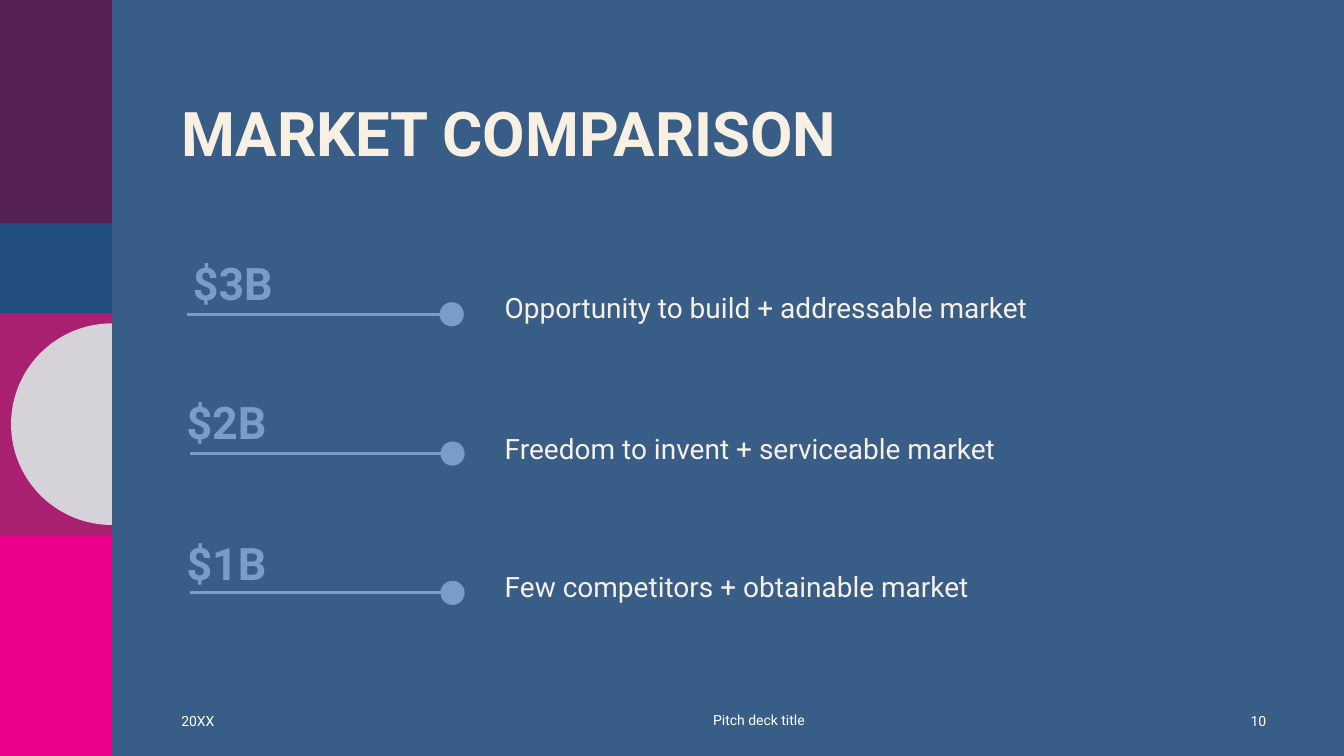
import dataclasses
import math

import lxml.etree
import pptx
import pptx.dml.color
import pptx.enum.shapes
import pptx.enum.text
import pptx.oxml.ns
import pptx.util

Cm = pptx.util.Cm
Align = pptx.enum.text.PP_ALIGN
Anchor = pptx.enum.text.MSO_ANCHOR
Preset = pptx.enum.shapes.MSO_SHAPE


@dataclasses.dataclass(frozen=True)
class Theme:
    font: str = "Roboto"
    background: str = "385E88"
    cream: str = "F8F0E3"
    white: str = "FFFFFF"
    accent: str = "789EC7"
    plum: str = "582156"
    navy: str = "224E7F"
    berry: str = "AA2070"
    pink: str = "EC008C"
    moon: str = "D5D2DA"
    title_size: int = 44
    amount_size: int = 32
    body_size: int = 20
    footer_size: int = 10
    line_width: int = 2


def rgb(color):
    return pptx.dml.color.RGBColor.from_string(color)


class SlideBuilder:
    def __init__(self, slide, theme):
        self.slide = slide
        self.theme = theme
        slide.background.fill.solid()
        slide.background.fill.fore_color.rgb = rgb(theme.background)

    def paint(self, shape, color):
        shape.shadow.inherit = False
        shape.fill.solid()
        shape.fill.fore_color.rgb = rgb(color)
        shape.line.fill.background()

    def shape(self, preset, left, top, width, height, color):
        shape = self.slide.shapes.add_shape(
            preset, Cm(left), Cm(top), Cm(width), Cm(height))
        self.paint(shape, color)

    def left_half_disc(self, center_x, center_y, radius, color, steps=90):
        angles = [math.pi * (0.5 + step / steps) for step in range(steps + 1)]
        points = [(Cm(center_x + radius * math.cos(angle)),
                   Cm(center_y + radius * math.sin(angle))) for angle in angles]
        builder = self.slide.shapes.build_freeform(*points[0])
        builder.add_line_segments(points[1:], close=True)
        self.paint(builder.convert_to_shape(), color)

    def line(self, start_x, end_x, y):
        connector = self.slide.shapes.add_connector(
            pptx.enum.shapes.MSO_CONNECTOR.STRAIGHT,
            Cm(start_x), Cm(y), Cm(end_x), Cm(y))
        connector.line.color.rgb = rgb(self.theme.accent)
        connector.line.width = pptx.util.Pt(self.theme.line_width)
        properties = connector._element.spPr
        lxml.etree.SubElement(properties, pptx.oxml.ns.qn("a:effectLst"))

    def text(self, text, left, top, width, height, size, color, bold=False,
             align=Align.LEFT, anchor=Anchor.TOP, line_spacing=1.0, space_before=0):
        box = self.slide.shapes.add_textbox(Cm(left), Cm(top), Cm(width), Cm(height))
        frame = box.text_frame
        frame.word_wrap = True
        frame.vertical_anchor = anchor
        frame.text = text
        paragraph = frame.paragraphs[0]
        paragraph.alignment = align
        paragraph.line_spacing = line_spacing
        paragraph.space_before = pptx.util.Pt(space_before)
        font = paragraph.runs[0].font
        font.name = self.theme.font
        font.size = pptx.util.Pt(size)
        font.bold = bold
        font.color.rgb = rgb(color)

    def footer(self, text, left, top, width, align):
        self.text(text, left, top, width, 1.02, self.theme.footer_size,
                  self.theme.white, align=align, anchor=Anchor.MIDDLE)

    def market(self, amount, description, amount_left, amount_top,
               description_top, line_left, line_right, line_y):
        """Draw one market row: amount over a dotted line, description beside it."""
        theme = self.theme
        self.text(amount, amount_left, amount_top, 4.06, 2.18, theme.amount_size,
                  theme.accent, bold=True, align=Align.CENTER,
                  anchor=Anchor.MIDDLE, line_spacing=0.9, space_before=10)
        self.text(description, 12.47, description_top, 17.09, 2.62,
                  theme.body_size, theme.cream, line_spacing=0.9, space_before=10)
        self.line(line_left, line_right, line_y)
        dot = 0.61
        self.shape(Preset.OVAL, line_right - 0.1, line_y - dot / 2, dot, dot,
                   theme.accent)


def main():
    presentation = pptx.Presentation()
    presentation.slide_width = Cm(33.87)
    presentation.slide_height = Cm(19.05)
    theme = Theme()
    slide = presentation.slides.add_slide(presentation.slide_layouts[6])
    builder = SlideBuilder(slide, theme)

    band_width = 2.82
    for top, height, color in [
        (13.41, 5.64, theme.pink),
        (7.87, 5.64, theme.berry),
        (0, 5.64, theme.plum),
        (5.64, 2.26, theme.navy),
    ]:
        builder.shape(Preset.RECTANGLE, 0, top, band_width, height, color)
    builder.left_half_disc(band_width, 10.69, 2.54, theme.moon)

    builder.text("MARKET COMPARISON", 4.32, 2.49, 28.3, 3.68, theme.title_size,
                 theme.cream, bold=True, line_spacing=0.9)

    markets = [
        ("$3B", "Opportunity to build + addressable market",
         3.84, 6.12, 7.29, 4.72, 11.18),
        ("$2B", "Freedom to invent + serviceable market",
         3.68, 9.63, 10.85, 4.78, 11.2),
        ("$1B", "Few competitors + obtainable market",
         3.68, 13.18, 14.33, 4.78, 11.2),
    ]
    for row, market in enumerate(markets):
        builder.market(*market, line_y=7.92 + 3.51 * row)

    builder.footer("20XX", 4.32, 17.65, 3.05, Align.LEFT)
    builder.footer("Pitch deck title", 15.95, 17.63, 6.35, Align.CENTER)
    builder.footer("10", 30.89, 17.65, 1.27, Align.RIGHT)

    presentation.save("out.pptx")


if __name__ == "__main__":
    main()
